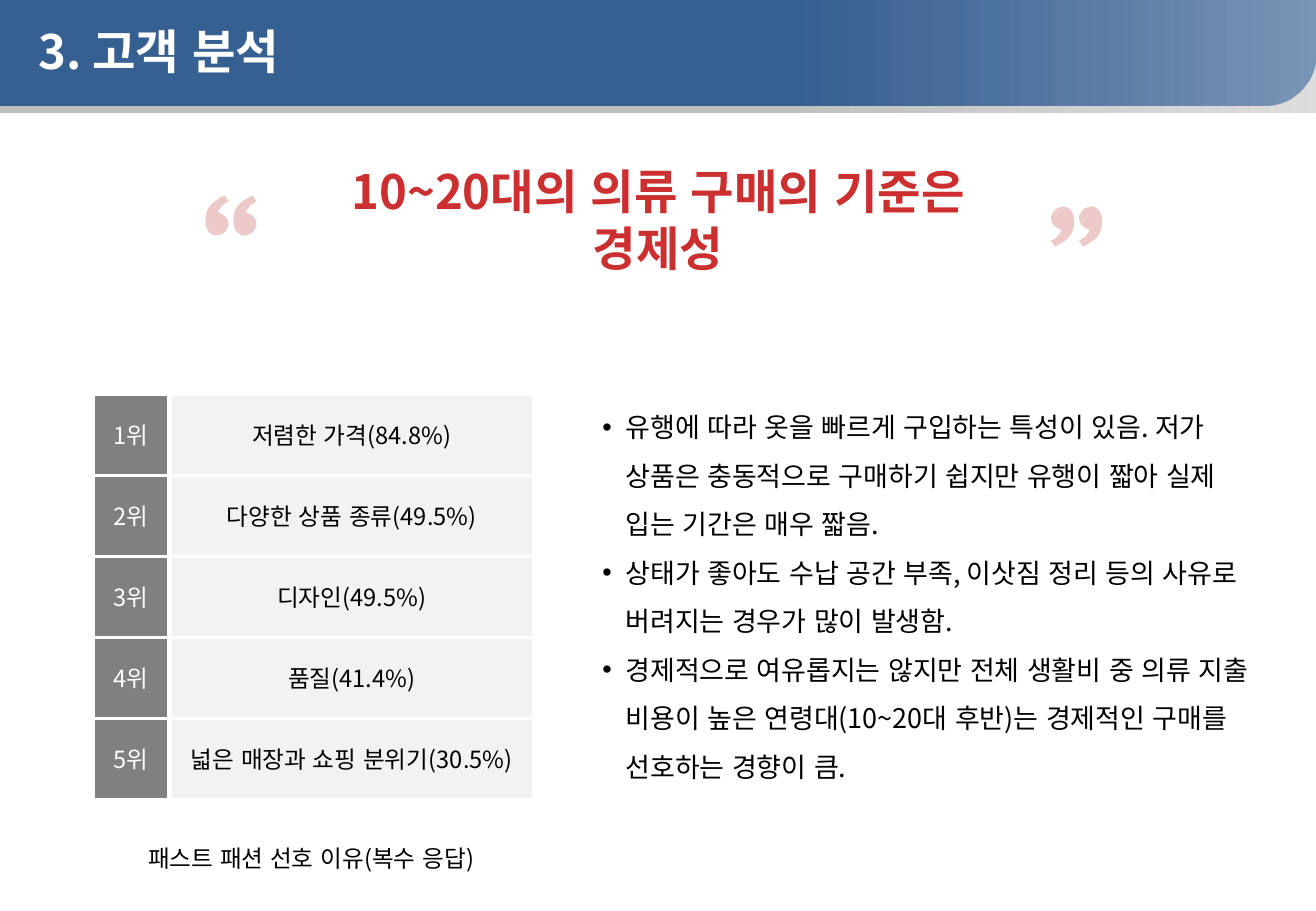
from dataclasses import dataclass

from lxml.etree import SubElement
from pptx import Presentation
from pptx.dml.color import RGBColor
from pptx.enum.lang import MSO_LANGUAGE_ID
from pptx.enum.shapes import MSO_SHAPE
from pptx.enum.text import MSO_ANCHOR, PP_ALIGN
from pptx.oxml.ns import qn
from pptx.shapes.autoshape import Shape
from pptx.slide import Slide
from pptx.text.text import TextFrame
from pptx.util import Inches, Pt


@dataclass(frozen=True)
class Theme:
    font: str = "Noto Sans CJK KR"
    white: str = "FFFFFF"
    black: str = "000000"
    headline: str = "CB2F2F"
    quote: str = "C0504D"
    rank: str = "808080"
    reason: str = "F2F2F2"
    shadow_band: str = "BFBFBF"
    header: str = "376092"
    header_end: str = "3A679C"
    title_size: int = 28
    body_size: int = 16
    label_size: int = 14


@dataclass(frozen=True)
class Box:
    left: float
    top: float
    width: float
    height: float

    def lengths(self) -> list[int]:
        return [Inches(value) for value in (self.left, self.top, self.width, self.height)]


@dataclass(frozen=True)
class TextStyle:
    size: int
    color: str
    bold: bool = False
    align: PP_ALIGN = PP_ALIGN.LEFT
    anchor: MSO_ANCHOR = MSO_ANCHOR.TOP
    line_spacing: float = 1.0
    bullet: bool = False


@dataclass(frozen=True)
class Reason:
    rank: str
    text: str


THEME = Theme()

REASONS = [
    Reason("1위", "저렴한 가격(84.8%)"),
    Reason("2위", "다양한 상품 종류(49.5%)"),
    Reason("3위", "디자인(49.5%)"),
    Reason("4위", "품질(41.4%)"),
    Reason("5위", "넓은 매장과 쇼핑 분위기(30.5%)"),
]

FINDINGS = [
    "유행에 따라 옷을 빠르게 구입하는 특성이 있음. 저가 상품은 충동적으로 구매하기 쉽지만 유행이 짧아 실제 입는 기간은 매우 짧음.",
    "상태가 좋아도 수납 공간 부족, 이삿짐 정리 등의 사유로 버려지는 경우가 많이 발생함.",
    "경제적으로 여유롭지는 않지만 전체 생활비 중 의류 지출 비용이 높은 연령대(10~20대 후반)는 경제적인 구매를 선호하는 경향이 큼.",
]

QUOTE_START = (0.16, 0)
QUOTE_CORNER = (0.19, 0.05)
QUOTE_CURVES = [
    ((0.17, 0.06), (0.16, 0.07), (0.14, 0.08)),
    ((0.13, 0.09), (0.12, 0.11), (0.11, 0.12)),
    ((0.1, 0.14), (0.11, 0.15), (0.13, 0.15)),
    ((0.14, 0.15), (0.15, 0.16), (0.17, 0.18)),
    ((0.18, 0.19), (0.19, 0.21), (0.19, 0.23)),
    ((0.19, 0.25), (0.19, 0.26), (0.18, 0.27)),
    ((0.18, 0.28), (0.17, 0.29), (0.16, 0.3)),
    ((0.16, 0.31), (0.15, 0.31), (0.13, 0.32)),
    ((0.12, 0.32), (0.11, 0.33), (0.09, 0.33)),
    ((0.07, 0.33), (0.04, 0.32), (0.02, 0.29)),
    ((0.01, 0.27), (0, 0.25), (0, 0.21)),
    ((0, 0.16), (0.01, 0.12), (0.04, 0.08)),
    ((0.07, 0.05), (0.11, 0.02), (0.16, 0)),
]
QUOTE_PITCH = 0.23


def set_alpha(shape: Shape, percent: int) -> None:
    color = list(shape._element.spPr.iter(qn("a:srgbClr")))[-1]
    SubElement(color, qn("a:alpha")).set("val", str(percent * 1000))


def fill_plain(shape: Shape, color: str) -> None:
    shape.shadow.inherit = False
    shape.line.fill.background()
    shape.fill.solid()
    shape.fill.fore_color.rgb = RGBColor.from_string(color)


def write_text(frame: TextFrame, text: str, style: TextStyle) -> None:
    frame.word_wrap = True
    frame.vertical_anchor = style.anchor
    frame.text = text
    for paragraph in frame.paragraphs:
        paragraph.alignment = style.align
        paragraph.line_spacing = style.line_spacing
        if style.bullet:
            properties = paragraph._p.get_or_add_pPr()
            properties.set("marL", str(Inches(0.19)))
            properties.set("indent", str(Inches(-0.19)))
            SubElement(properties, qn("a:buFont")).set("typeface", "Arial")
            SubElement(properties, qn("a:buChar")).set("char", "•")
        for run in paragraph.runs:
            run.font.name = THEME.font
            run.font.size = Pt(style.size)
            run.font.bold = style.bold
            run.font.language_id = MSO_LANGUAGE_ID.KOREAN
            run.font.color.rgb = RGBColor.from_string(style.color)
            SubElement(run.font._element, qn("a:ea")).set("typeface", THEME.font)


def add_text(slide: Slide, box: Box, text: str, style: TextStyle) -> None:
    write_text(slide.shapes.add_textbox(*box.lengths()).text_frame, text, style)


def add_band(slide: Slide, kind: MSO_SHAPE, box: Box, start: str, end: str, alpha: int) -> Shape:
    shape = slide.shapes.add_shape(kind, *box.lengths())
    shape.shadow.inherit = False
    shape.line.fill.background()
    shape.fill.gradient()
    shape.fill.gradient_angle = 0
    for stop, color, position in zip(shape.fill.gradient_stops, (start, end), (0.6, 1.0)):
        stop.color.rgb = RGBColor.from_string(color)
        stop.position = position
    set_alpha(shape, alpha)
    return shape


def add_panel(slide: Slide, box: Box, fill: str, text: str, style: TextStyle) -> Shape:
    shape = slide.shapes.add_shape(MSO_SHAPE.RECTANGLE, *box.lengths())
    fill_plain(shape, fill)
    write_text(shape.text_frame, text, style)
    return shape


def add_cell(slide: Slide, box: Box, fill: str, text: str, color: str) -> None:
    style = TextStyle(THEME.label_size, color, align=PP_ALIGN.CENTER, anchor=MSO_ANCHOR.MIDDLE)
    shape = add_panel(slide, box, fill, text, style)
    shape.line.color.rgb = RGBColor.from_string(THEME.white)
    shape.line.width = Pt(2)
    frame = shape.text_frame
    frame.margin_left = frame.margin_right = Inches(0.08)
    frame.margin_top = frame.margin_bottom = Inches(0.04)


def add_quote(slide: Slide, left: float, top: float, rotation: int) -> None:
    corners = [QUOTE_START, QUOTE_CORNER, *(curve[-1] for curve in QUOTE_CURVES)]
    builder = slide.shapes.build_freeform()
    for offset in (QUOTE_PITCH, 0):
        points = [(Inches(x + offset), Inches(y)) for x, y in corners]
        builder.move_to(*points[0])
        builder.add_line_segments(points[1:], close=True)
    shape = builder.convert_to_shape(Inches(left), Inches(top))
    segments = list(shape._element.spPr.iter(qn("a:lnTo")))
    per_mark = len(QUOTE_CURVES) + 1
    for mark, offset in enumerate((QUOTE_PITCH, 0)):
        curved = segments[mark * per_mark + 1:(mark + 1) * per_mark]
        for segment, curve in zip(curved, QUOTE_CURVES):
            segment.tag = qn("a:cubicBezTo")
            segment.remove(segment[0])
            for x, y in curve:
                point = SubElement(segment, qn("a:pt"))
                point.set("x", str(Inches(x + offset)))
                point.set("y", str(Inches(y)))
    shape.rotation = rotation
    fill_plain(shape, THEME.quote)
    set_alpha(shape, 30)


def main() -> None:
    presentation = Presentation()
    presentation.slide_width, presentation.slide_height = Inches(10.83), Inches(7.5)
    slide = presentation.slides.add_slide(presentation.slide_layouts[6])

    add_band(slide, MSO_SHAPE.RECTANGLE, Box(0, 0, 10.83, 0.93), THEME.shadow_band, THEME.shadow_band, 50)
    header = add_band(slide, MSO_SHAPE.ROUND_1_RECTANGLE, Box(0, 0, 10.83, 0.87), THEME.header, THEME.header_end, 60)
    header.adjustments[0] = 0.5
    header._element.spPr.xfrm.set("flipV", "1")

    add_text(slide, Box(0.22, 0.16, 9.37, 0.52), "3. 고객 분석",
             TextStyle(THEME.title_size, THEME.white, bold=True, anchor=MSO_ANCHOR.MIDDLE))
    add_text(slide, Box(2.27, 1.52, 6.29, 0.57), "10~20대의 의류 구매의 기준은 경제성",
             TextStyle(THEME.title_size, THEME.headline, True, PP_ALIGN.CENTER, MSO_ANCHOR.MIDDLE))
    add_quote(slide, 1.69, 1.61, 0)
    add_quote(slide, 8.65, 1.7, 180)

    row_height = 10 / 3 / len(REASONS)
    for row, reason in enumerate(REASONS):
        top = 3.25 + row * row_height
        add_cell(slide, Box(0.77, top, 0.62, row_height), THEME.rank, reason.rank, THEME.white)
        add_cell(slide, Box(1.4, top, 2.99, row_height), THEME.reason, reason.text, THEME.black)

    add_text(slide, Box(4.86, 3.2, 5.67, 3.33), "\n".join(FINDINGS),
             TextStyle(THEME.body_size, THEME.black, line_spacing=1.5, bullet=True))
    add_panel(slide, Box(0.69, 6.85, 3.74, 0.38), THEME.white, "패스트 패션 선호 이유(복수 응답)",
              TextStyle(THEME.label_size, THEME.black, align=PP_ALIGN.CENTER, line_spacing=1.2))

    presentation.save("out.pptx")


if __name__ == "__main__":
    main()
